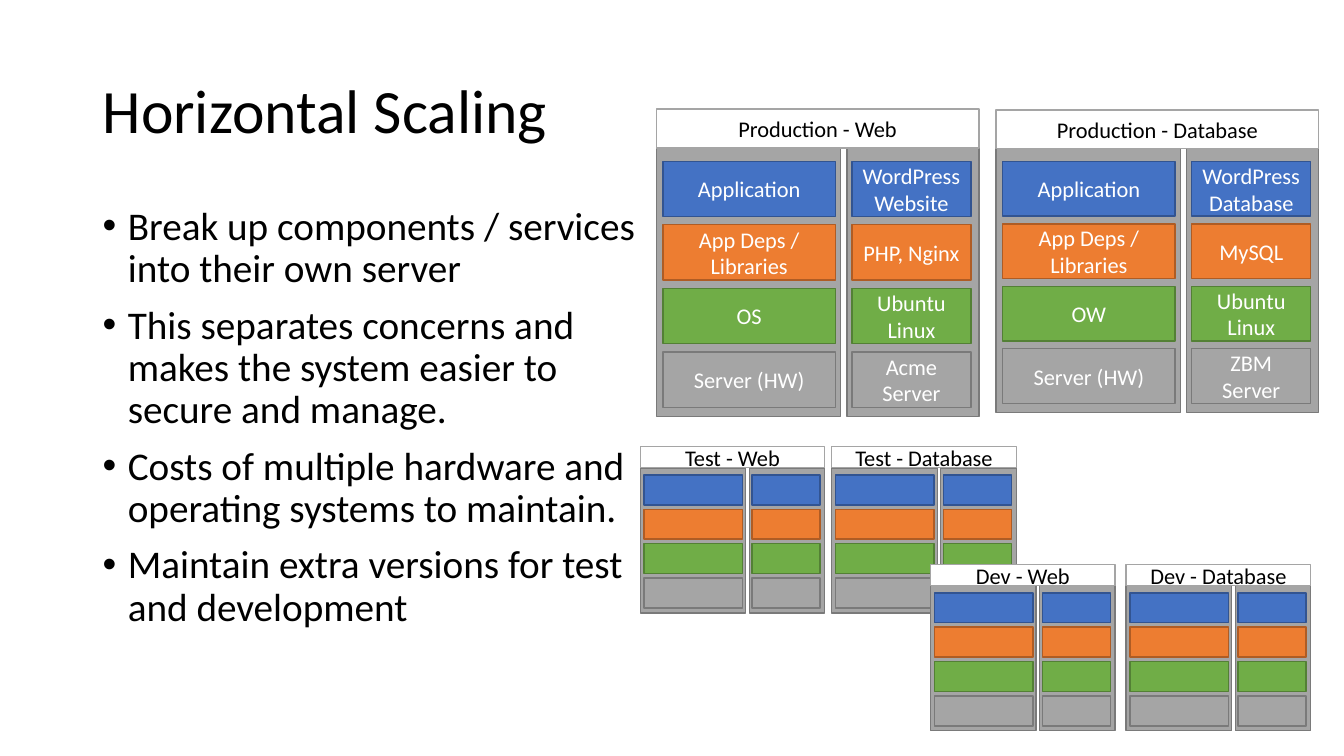
import copy
import dataclasses
import pptx
import pptx.dml.color
import pptx.enum.shapes
import pptx.enum.text
import pptx.oxml.ns
import pptx.oxml.xmlchemy
import pptx.util
from lxml import etree


@dataclasses.dataclass(frozen=True)
class Theme:
    font: str = "Calibri"
    title: int = 44
    body: int = 28
    label: int = 16
    black: str = "000000"
    white: str = "FFFFFF"
    gray: tuple = ("A5A5A5", "7A7A7A")
    header: tuple = ("FFFFFF", "A5A5A5")
    layers: tuple = (
        ("4472C4", "325491"),
        ("ED7D31", "AF5C24"),
        ("70AD47", "538035"),
        ("A5A5A5", "7A7A7A"),
    )


THEME = Theme()
SLIDE_COLUMNS, SLIDE_ROWS = 1333, 750
STACK_COLUMNS, STACK_ROWS = 320, 305
HEADER_ROWS = 39
FRAMES = ((0, 183), (189, 131))
LAYER_COLUMNS = ((6.5, 171), (194, 118))
LAYER_TOP, LAYER_PITCH, LAYER_ROWS = 52, 63, 55
GENERIC = ("Application", "App Deps / Libraries", "OS", "Server (HW)")
BLANK = (("",) * 4,) * 2

STACKS = (
    ("Production - Web", (651, 108, 320, 305),
     (GENERIC, ("WordPress\nWebsite", "PHP, Nginx", "Ubuntu\nLinux", "Acme\nServer"))),
    ("Production - Database", (988, 109, 320, 300),
     (("Application", "App Deps / Libraries", "OW", "Server (HW)"),
      ("WordPress\nDatabase", "MySQL", "Ubuntu\nLinux", "ZBM\nServer"))),
    ("Test - Web", (635, 443, 183, 165), BLANK),
    ("Test - Database", (825, 443, 183, 165), BLANK),
    ("Dev - Web", (923, 560, 183, 165), BLANK),
    ("Dev - Database", (1117, 560, 183, 165), BLANK),
)

BULLETS = (
    "Break up components / services into their own server",
    "This separates concerns and makes the system easier to secure and manage.",
    "Costs of multiple hardware and operating systems to maintain.",
    "Maintain extra versions for test and development",
)


def apply_format(target, values):
    for name, value in values.items():
        setattr(target, name, value)


def rgb(color):
    return pptx.dml.color.RGBColor.from_string(color)


def slide_area(column, row, columns, rows):
    return [pptx.util.Inches(cells / 100) for cells in (column, row, columns, rows)]


def write_para(para, text, size, color, **layout):
    para.text = text
    apply_format(para, layout)
    for span in para.runs:
        apply_format(span.font, {"name": THEME.font, "size": pptx.util.Pt(size)})
        span.font.color.rgb = rgb(color)
        for line_break in para._p.findall(pptx.oxml.ns.qn("a:br")):
            if len(line_break) == 0:
                line_break.append(copy.deepcopy(span._r.rPr))


def add_text_area(page, area):
    box = page.shapes.add_textbox(*slide_area(*area))
    box.text_frame.word_wrap = True
    return box.text_frame


def add_bullet(para):
    properties = para._p.get_or_add_pPr()
    indent = pptx.util.Inches(0.25)
    properties.set("marL", str(indent))
    properties.set("indent", str(-indent))
    tag = pptx.oxml.ns.qn
    etree.SubElement(properties, tag("a:buFont"), typeface="Arial")
    etree.SubElement(properties, tag("a:buChar"), char="•")


def add_title(page, text):
    frame = add_text_area(page, (92, 40, 1150, 145))
    frame.vertical_anchor = pptx.enum.text.MSO_ANCHOR.MIDDLE
    write_para(frame.paragraphs[0], text, THEME.title, THEME.black, line_spacing=0.9)


def add_bullet_list(page, items):
    frame = add_text_area(page, (92, 200, 567, 510))
    for index, item in enumerate(items):
        para = frame.add_paragraph() if index else frame.paragraphs[0]
        add_bullet(para)
        write_para(para, item, THEME.body, THEME.black, line_spacing=0.9,
                   space_before=pptx.util.Pt(10 if index else 0))


def add_block(group, area, colors, text="", text_color=THEME.white):
    box = group.shapes.add_shape(
        pptx.enum.shapes.MSO_SHAPE.RECTANGLE, *slide_area(*area))
    box.shadow.inherit = False
    box.fill.solid()
    box.fill.fore_color.rgb = rgb(colors[0])
    box.line.color.rgb = rgb(colors[1])
    box.line.width = pptx.util.Pt(1)
    if text:
        apply_format(box.text_frame, {
            "word_wrap": True,
            "vertical_anchor": pptx.enum.text.MSO_ANCHOR.MIDDLE,
        })
        write_para(box.text_frame.paragraphs[0], text, THEME.label, text_color,
                   alignment=pptx.enum.text.PP_ALIGN.CENTER)


def add_stack(page, title, area, columns_text):
    left, top, width, height = area
    group = page.shapes.add_group_shape()

    def place(column, row, columns, rows):
        across, down = width / STACK_COLUMNS, height / STACK_ROWS
        return left + column * across, top + row * down, columns * across, rows * down

    for column, columns in reversed(FRAMES):
        add_block(group, place(column, HEADER_ROWS, columns, STACK_ROWS - HEADER_ROWS),
                  THEME.gray)
    for (column, columns), texts in zip(LAYER_COLUMNS, columns_text):
        for index, (colors, text) in enumerate(zip(THEME.layers, texts)):
            row = LAYER_TOP + index * LAYER_PITCH
            add_block(group, place(column, row, columns, LAYER_ROWS), colors, text)
    add_block(group, place(0, 0, STACK_COLUMNS, HEADER_ROWS), THEME.header,
              title, THEME.black)


def main():
    deck = pptx.Presentation()
    apply_format(deck, {
        "slide_width": pptx.util.Inches(SLIDE_COLUMNS / 100),
        "slide_height": pptx.util.Inches(SLIDE_ROWS / 100),
    })
    page = deck.slides.add_slide(deck.slide_layouts[6])
    add_title(page, "Horizontal Scaling")
    add_bullet_list(page, BULLETS)
    for title, area, columns_text in STACKS:
        add_stack(page, title, area, columns_text)
    deck.save("out.pptx")


if __name__ == "__main__":
    main()
